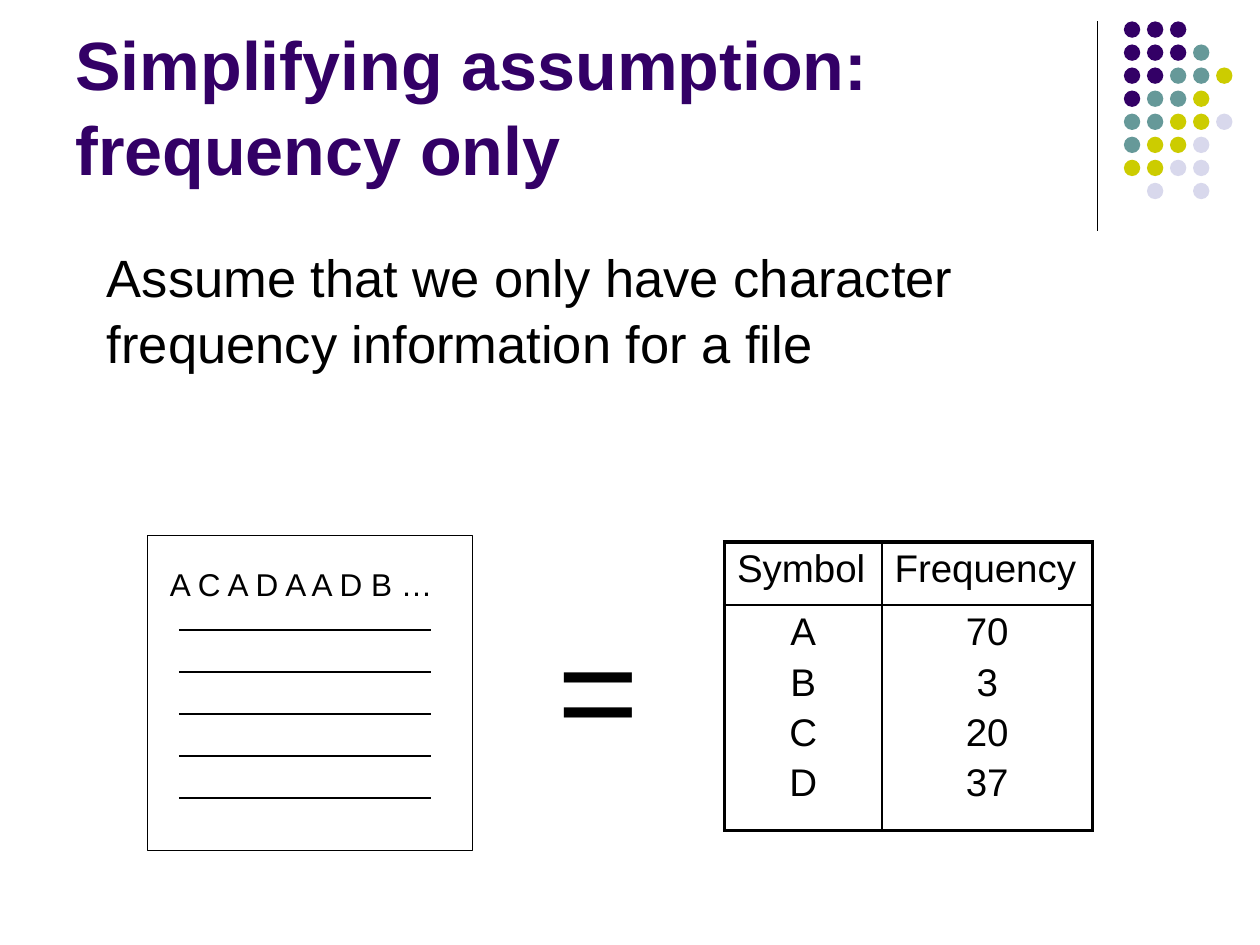
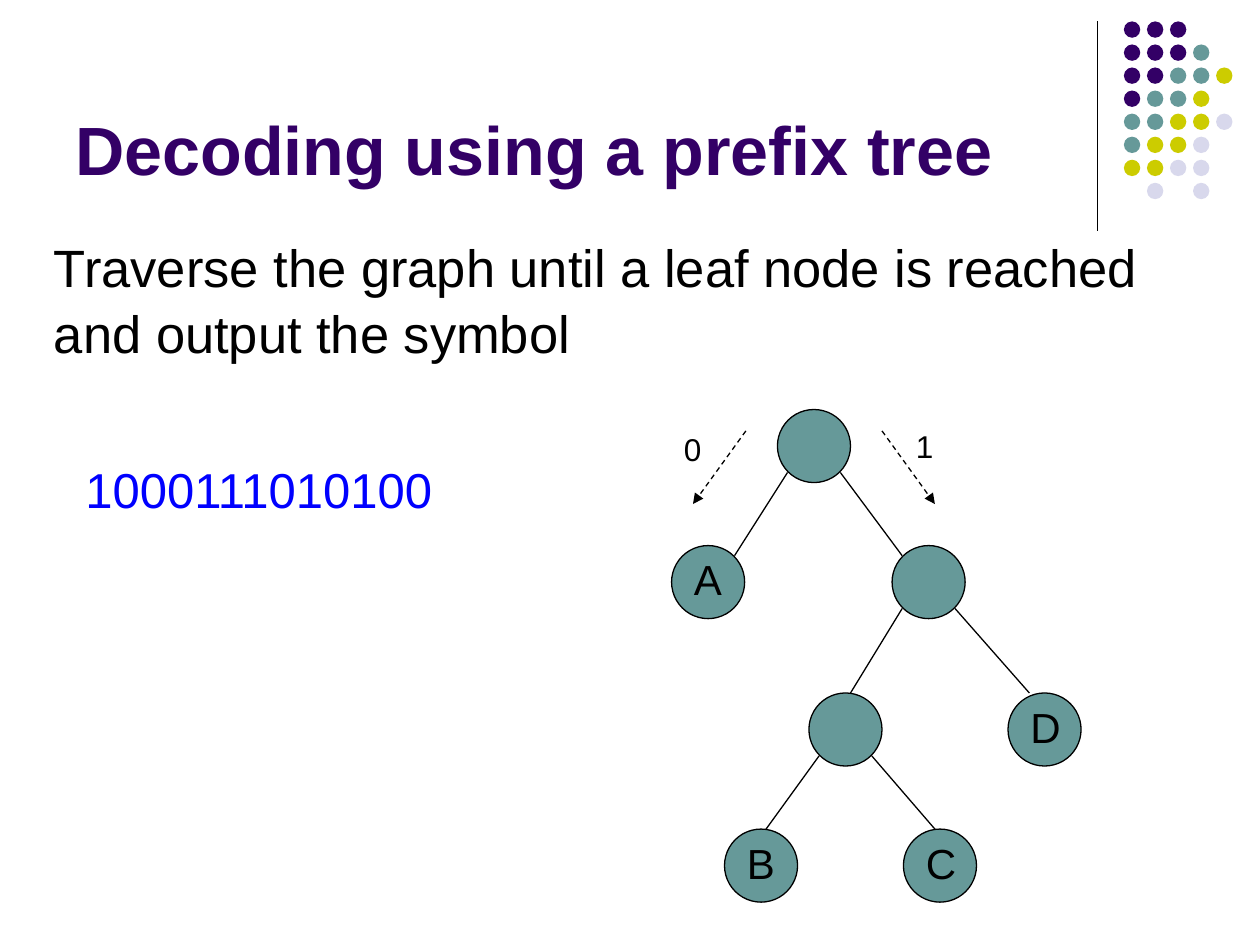
from lxml import etree
from pptx import Presentation
from pptx.dml.color import RGBColor
from pptx.enum import dml, shapes, text
from pptx.oxml.ns import qn
from pptx.util import Inches, Pt

FONT = "Arial"
PURPLE, TEAL, OLIVE, LILAC = "330066", "669999", "CCCC00", "D8D8EC"
BLACK, BLUE = "000000", "0000FF"
THIN, THICK = 1, 2.25
PROPORTIONAL = 1.04

# Corner ornament: one letter per dot
DOT_COLOURS = {"p": PURPLE, "t": TEAL, "o": OLIVE, "l": LILAC}
DOT_ROWS = ["ppp", "pppt", "pptto", "ptto", "ttool", "tool", "ooll", " l l"]
DOT_LEFT, DOT_TOP, DOT_PITCH, DOT_SIZE = 8.92, 0.17, 0.183, 0.13

# Slide 1
FREQUENCY_TITLE = "Simplifying assumption:\vfrequency only"
FREQUENCY_BODY = "Assume that we only have character frequency information for a file"
FILE_TEXT = "A C A D A A D B …"
FILE_LINES = 5
FREQUENCY_COLUMNS = [
    ("Symbol", 1.25, ["A", "B", "C", "D"]),
    ("Frequency", 1.67, ["70", "3", "20", "37"]),
]
TABLE_ROWS = [0.5, 1.79]

# Slide 2
TREE_TITLE = "Decoding using a prefix tree"
TREE_BODY = "Traverse the graph until a leaf node is reached and output the symbol"
CODE = "1000111010100"
NODE_SIZE = 0.58
# name: (left, top, label, where the edge from the parent lands)
NODES = {
    "root": (6.17, 3.25, "", None),
    "a": (5.33, 4.33, "A", (0.5, 0.08)),
    "right": (7.08, 4.33, "", (0.08, 0.08)),
    "middle": (6.42, 5.5, "", (0.33, 0)),
    "b": (5.75, 6.58, "B", (0.33, 0)),
    "c": (7.17, 6.58, "C", (0.25, 0)),
    "d": (8, 5.5, "D", (0.17, 0)),
}
# parent: (child on 0, child on 1)
CHILDREN = {"root": ("a", "right"), "right": ("middle", "d"), "middle": ("b", "c")}
EDGE_STARTS = [(0.08, 0.5), (0.5, 0.5)]
# bit, label left and top, arrow start and end
BRANCHES = [
    ("0", (5.33, 3.35), (5.92, 3.42), (5.5, 4)),
    ("1", (7.17, 3.33), (7, 3.42), (7.42, 4)),
]


def rgb(colour):
    return RGBColor.from_string(colour)


def style_runs(p, size, colour=BLACK, bold=False):
    for r in p.runs:
        r.font.name = FONT
        r.font.size = Pt(size)
        r.font.bold = bold
        r.font.color.rgb = rgb(colour)


def add_text(slide, words, box, size, colour=BLACK, bold=False, anchor="TOP"):
    tf = slide.shapes.add_textbox(*map(Inches, box)).text_frame
    tf.word_wrap = True
    tf.vertical_anchor = text.MSO_ANCHOR[anchor]
    p = tf.paragraphs[0]
    p.text = words
    p.line_spacing = PROPORTIONAL
    style_runs(p, size, colour, bold)


def add_preset(slide, kind, box, fill=None, outlined=True):
    sp = slide.shapes.add_shape(kind, *map(Inches, box))
    sp.shadow.inherit = False
    if fill:
        sp.fill.solid()
        sp.fill.fore_color.rgb = rgb(fill)
    else:
        sp.fill.background()
    if outlined:
        sp.line.color.rgb = rgb(BLACK)
        sp.line.width = Pt(0.75)
    else:
        sp.line.fill.background()


def add_line(slide, start, end, dashed_arrow=False):
    line = slide.shapes.add_connector(
        shapes.MSO_CONNECTOR.STRAIGHT, *map(Inches, (*start, *end)))
    line.line.color.rgb = rgb(BLACK)
    line.line.width = Pt(0.75)
    if dashed_arrow:
        line.line.dash_style = dml.MSO_LINE.DASH
        etree.SubElement(line.line._get_or_add_ln(), qn("a:tailEnd"), type="triangle")
    etree.SubElement(line._element.spPr, qn("a:effectLst"))


def add_base_slide(prs, title):
    """Add a slide with the rule, the corner dots and the title."""
    slide = prs.slides.add_slide(prs.slide_layouts[6])
    add_line(slide, (8.71, 0.17), (8.71, 1.83))
    for row, letters in enumerate(DOT_ROWS):
        for col, letter in enumerate(letters):
            if letter in DOT_COLOURS:
                box = (DOT_LEFT + col * DOT_PITCH, DOT_TOP + row * DOT_PITCH,
                       DOT_SIZE, DOT_SIZE)
                add_preset(slide, shapes.MSO_SHAPE.OVAL, box,
                           DOT_COLOURS[letter], outlined=False)
    add_text(slide, title, (0.5, 0.13, 8.25, 1.42), 39, PURPLE, True, "BOTTOM")
    return slide


def set_borders(cell, widths):
    """Draw the left, right, top and bottom borders of a cell, in that order."""
    tcPr = cell._tc.get_or_add_tcPr()
    for side, width in zip("LRTB", widths):
        ln = etree.SubElement(tcPr, qn(f"a:ln{side}"), w=str(Pt(width)))
        fill = etree.SubElement(ln, qn("a:solidFill"))
        etree.SubElement(fill, qn("a:srgbClr"), val=BLACK)


def fill_cell(cell, lines, align):
    cell.text_frame.text = "\n".join(lines)
    for p in cell.text_frame.paragraphs:
        p.alignment = align
        p.space_before = Pt(4)
        style_runs(p, 22)


def add_frequency_table(slide):
    widths = [width for _, width, _ in FREQUENCY_COLUMNS]
    table = slide.shapes.add_table(
        2, len(widths), Inches(5.75), Inches(4.3),
        Inches(sum(widths)), Inches(sum(TABLE_ROWS))).table
    table.first_row = table.horz_banding = False
    for row, height in zip(table.rows, TABLE_ROWS):
        row.height = Inches(height)
    last = len(widths) - 1
    for col, (heading, width, values) in enumerate(FREQUENCY_COLUMNS):
        table.columns[col].width = Inches(width)
        fill_cell(table.cell(0, col), [heading], text.PP_ALIGN.LEFT)
        fill_cell(table.cell(1, col), values, text.PP_ALIGN.CENTER)
        for row in range(2):
            cell = table.cell(row, col)
            outer = (col == 0, col == last, row == 0, row == 1)
            set_borders(cell, [THICK if edge else THIN for edge in outer])
            cell.fill.background()


def build_frequency_slide(prs):
    slide = add_base_slide(prs, FREQUENCY_TITLE)
    add_text(slide, FREQUENCY_BODY, (0.75, 1.88, 7.83, 1.7), 30)
    add_text(slide, FILE_TEXT, (1.25, 4.42, 2.92, 0.4), 18)
    add_preset(slide, shapes.MSO_SHAPE.RECTANGLE, (1.17, 4.25, 2.58, 2.5))
    for i in range(FILE_LINES):
        y = 5 + i / 3
        add_line(slide, (1.42, y), (3.42, y))
    add_text(slide, "=", (4.33, 4.67, 1.17, 1.43), 80)
    add_frequency_table(slide)


def build_tree_slide(prs):
    slide = add_base_slide(prs, TREE_TITLE)
    add_text(slide, TREE_BODY, (0.33, 1.8, 9.17, 1.12), 30)
    for left, top, label, _ in NODES.values():
        add_preset(slide, shapes.MSO_SHAPE.OVAL,
                   (left, top, NODE_SIZE, NODE_SIZE), TEAL)
        if label:
            add_text(slide, label, (left + 0.08, top, 0.5, 0.5), 24)
    for parent, children in CHILDREN.items():
        px, py = NODES[parent][:2]
        for (sx, sy), child in zip(EDGE_STARTS, children):
            cx, cy, _, (ex, ey) = NODES[child]
            add_line(slide, (px + sx, py + sy), (cx + ex, cy + ey))
    for bit, place, start, end in BRANCHES:
        add_line(slide, start, end, dashed_arrow=True)
        add_text(slide, bit, (*place, 0.42, 0.4), 18)
    add_text(slide, CODE, (0.58, 3.58, 3.17, 0.57), 28, BLUE)


def main():
    prs = Presentation()
    prs.slide_width, prs.slide_height = Inches(10), Inches(7.5)
    build_frequency_slide(prs)
    build_tree_slide(prs)
    prs.save("out.pptx")


if __name__ == "__main__":
    main()
